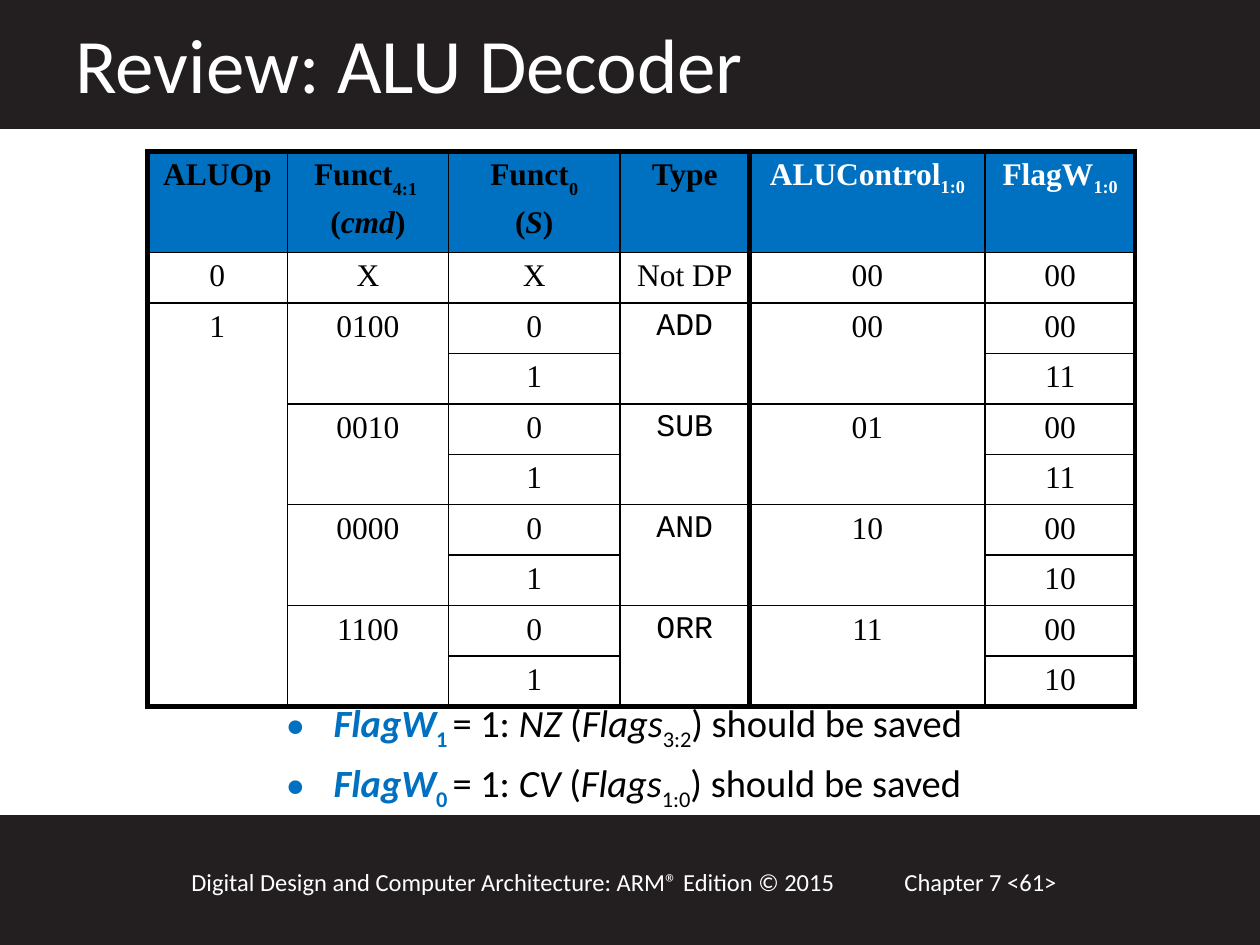
from pptx import Presentation
from pptx.dml.color import RGBColor
from pptx.enum.shapes import MSO_SHAPE
from pptx.enum.text import PP_ALIGN
from pptx.oxml import parse_xml
from pptx.oxml.ns import nsdecls
from pptx.util import Inches, Pt

THEME = {
    "band": RGBColor.from_string("231F20"),
    "blue": RGBColor.from_string("0070C0"),
    "black": RGBColor.from_string("000000"),
    "white": RGBColor.from_string("FFFFFF"),
    "sans": "Calibri", "serif": "Times New Roman", "mono": "Courier New",
    "title": 44, "bullet": 22, "cell": 18, "footer": 14,
    "thin": 1, "thick": 3,
}

# A run is (text, flags): b bold, i italic, s subscript, d deep subscript, a accent colour
TITLE = "Review: ALU Decoder"
FOOTERS = [
    ("Chapter 7 <61>", 7.08, 2.17),
    ("Digital Design and Computer Architecture: ARM® Edition © 2015", 1.42, 5.75),
]
HEADERS = [
    [[("ALUOp", "b")]],
    [[("Funct", "b"), ("4:1 ", "bd")], [("(", "b"), ("cmd", "bi"), (")", "b")]],
    [[("Funct", "b"), ("0", "bd")], [("(", "b"), ("S", "bi"), (")", "b")]],
    [[("Type", "b")]],
    [[("ALUControl", "b"), ("1:0", "bs")]],
    [[("FlagW", "b"), ("1:0", "bs")]],
]
# None continues the cell above
ROWS = [
    ["0", "X", "X", "Not DP", "00", "00"],
    ["1", "0100", "0", "ADD", "00", "00"],
    [None, None, "1", None, None, "11"],
    [None, "0010", "0", "SUB", "01", "00"],
    [None, None, "1", None, None, "11"],
    [None, "0000", "0", "AND", "10", "00"],
    [None, None, "1", None, None, "10"],
    [None, "1100", "0", "ORR", "11", "00"],
    [None, None, "1", None, None, "10"],
]
MNEMONICS = {"ADD", "SUB", "AND", "ORR"}
BULLETS = [
    [("FlagW", "bia"), (bit + " ", "bsa"), ("= 1: ", ""), (flags, "i"), (" (", ""),
     ("Flags", "i"), (bits, "s"), (") should be saved", "")]
    for bit, flags, bits in [("1", "NZ", "3:2"), ("0", "CV", "1:0")]
]

COLUMN_WIDTHS = [1.11, 1.28, 1.36, 1.03, 1.87, 1.19]
HEADER_HEIGHT, ROW_HEIGHT = 0.74, 0.4
FIRST_OUTPUT_COLUMN = 4
BASELINES = {"s": "-25000", "d": "-30000"}


def write_runs(paragraph, runs, size, font_name, color):
    for text, flags in runs:
        run = paragraph.add_run()
        run.text = text
        font = run.font
        font.size, font.name = Pt(size), font_name
        font.bold, font.italic = "b" in flags, "i" in flags
        font.color.rgb = THEME["blue"] if "a" in flags else color
        for flag, baseline in BASELINES.items():
            if flag in flags:
                run._r.get_or_add_rPr().set("baseline", baseline)


def write_paragraphs(text_frame, paragraphs, size, font_name, color):
    for index, runs in enumerate(paragraphs):
        paragraph = text_frame.add_paragraph() if index else text_frame.paragraphs[0]
        if index:
            paragraph.space_before = Pt(size * 0.2)
        write_runs(paragraph, runs, size, font_name, color)


def add_text(slide, box, paragraphs, size, color):
    text_frame = slide.shapes.add_textbox(*map(Inches, box)).text_frame
    text_frame.word_wrap = True
    write_paragraphs(text_frame, paragraphs, size, THEME["sans"], color)
    return text_frame


def add_band(slide, top):
    band = slide.shapes.add_shape(MSO_SHAPE.RECTANGLE, 0, Inches(top), Inches(10), Inches(1.01))
    band.shadow.inherit = False
    band.fill.solid()
    band.fill.fore_color.rgb = band.line.color.rgb = THEME["band"]
    band.line.width = Pt(2)


def set_borders(cell, thick_sides):
    properties = cell._tc.get_or_add_tcPr()
    for index, side in enumerate("LRTB"):
        width = Pt(THEME["thick" if side in thick_sides else "thin"])
        properties.insert(index, parse_xml(
            f'<a:ln{side} {nsdecls("a")} w="{width}"><a:solidFill>'
            f'<a:srgbClr val="{THEME["black"]}"/></a:solidFill></a:ln{side}>'))


def add_decoder_table(slide):
    content = [HEADERS] + [[text and [[(text, "")]] for text in row] for row in ROWS]
    row_count, column_count = len(content), len(HEADERS)
    heights = [HEADER_HEIGHT] + [ROW_HEIGHT] * len(ROWS)
    frame = slide.shapes.add_table(row_count, column_count, Inches(1.17), Inches(1.2),
                                   Inches(sum(COLUMN_WIDTHS)), Inches(sum(heights)))
    table = frame.table
    table.first_row = table.horz_banding = False
    # "No Style, No Grid"
    table._tbl.tblPr[0].text = "{2D5ABB26-0587-4C30-8999-92F81FD0307C}"
    for column, width in zip(table.columns, COLUMN_WIDTHS):
        column.width = Inches(width)
    for row, height in zip(table.rows, heights):
        row.height = Inches(height)

    for r, row in enumerate(content):
        for c, paragraphs in enumerate(row):
            if paragraphs is None:
                continue
            cell = table.cell(r, c)
            last = r
            while last + 1 < row_count and content[last + 1][c] is None:
                last += 1
            if last > r:
                cell.merge(table.cell(last, c))
            is_header = r == 0
            if is_header:
                cell.fill.solid()
                cell.fill.fore_color.rgb = THEME["blue"]
            else:
                cell.fill.background()
            is_output = c >= FIRST_OUTPUT_COLUMN
            color = THEME["white" if is_header and is_output else "black"]
            font_name = THEME["mono" if paragraphs[0][0][0] in MNEMONICS else "serif"]
            write_paragraphs(cell.text_frame, paragraphs, THEME["cell"], font_name, color)
            for paragraph in cell.text_frame.paragraphs:
                paragraph.alignment = PP_ALIGN.CENTER
            edges = {
                "L": c in (0, FIRST_OUTPUT_COLUMN),
                "R": c in (FIRST_OUTPUT_COLUMN - 1, column_count - 1),
                "T": is_header,
                "B": last == row_count - 1,
            }
            set_borders(cell, [side for side, thick in edges.items() if thick])


def add_bullets(slide):
    text_frame = add_text(slide, (1.67, 5.5, 6.92, 1.21), BULLETS, THEME["bullet"], THEME["black"])
    for paragraph in text_frame.paragraphs:
        properties = paragraph._p.get_or_add_pPr()
        properties.set("lvl", "1")
        properties.set("marL", str(Inches(0.88)))
        properties.set("indent", str(Inches(-0.38)))
        for bullet in (f'<a:buClr {nsdecls("a")}><a:srgbClr val="{THEME["blue"]}"/></a:buClr>',
                       f'<a:buFont {nsdecls("a")} typeface="{THEME["sans"]}"/>',
                       f'<a:buChar {nsdecls("a")} char="•"/>'):
            properties.append(parse_xml(bullet))


def main():
    presentation = Presentation()
    presentation.slide_width, presentation.slide_height = Inches(10), Inches(7.5)
    slide = presentation.slides.add_slide(presentation.slide_layouts[6])
    for top in (6.48, 0):
        add_band(slide, top)
    for text, left, width in FOOTERS:
        add_text(slide, (left, 6.83, width, 0.34), [[(text, "")]], THEME["footer"], THEME["white"])
    add_decoder_table(slide)
    add_text(slide, (0.5, 0.08, 8.67, 0.84), [[(TITLE, "")]], THEME["title"], THEME["white"])
    add_bullets(slide)
    presentation.save("out.pptx")


if __name__ == "__main__":
    main()
